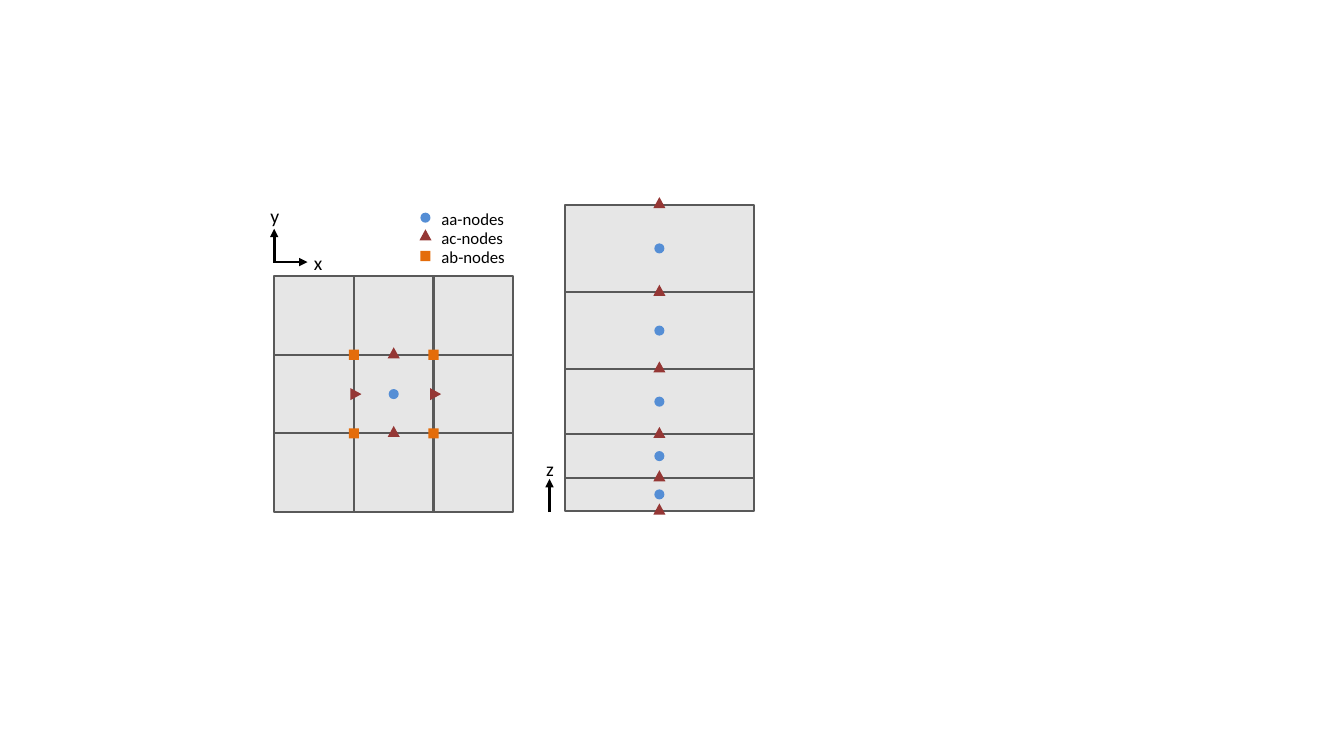
"""Build a slide showing node positions on a horizontal grid and a vertical column."""
import itertools

import pptx
import pptx.dml.color
import pptx.enum.shapes
import pptx.enum.text
import pptx.oxml
import pptx.oxml.ns
import pptx.util
from lxml import etree

SHAPE = pptx.enum.shapes.MSO_SHAPE
ALIGN = pptx.enum.text.PP_ALIGN
CELL_FILL = pptx.dml.color.RGBColor(0xE6, 0xE6, 0xE6)
CELL_LINE = pptx.dml.color.RGBColor(0x59, 0x59, 0x59)
BLACK = pptx.dml.color.RGBColor(0, 0, 0)
BLUE = pptx.dml.color.RGBColor(0x55, 0x8E, 0xD5)
RED = pptx.dml.color.RGBColor(0x95, 0x37, 0x35)
ORANGE = pptx.dml.color.RGBColor(0xE4, 0x6C, 0x0A)

SLIDE_WIDTH, SLIDE_HEIGHT = 13.33, 7.5
GRID_LEFT, GRID_TOP = 2.72, 2.74
CELL_WIDTH, CELL_HEIGHT = 0.79, 0.78
COLUMN_LEFT, COLUMN_WIDTH = 5.6, 1.88
LAYER_EDGES = (2.03, 2.9, 3.66, 4.31, 4.74, 5.07)
LEGEND_LEFT, LEGEND_TOP, LEGEND_PITCH = 4.22, 2.16, 0.19
ARROW_LENGTH = 0.33
APEX_SHIFT = 0.02

NODES = {
    "aa": (SHAPE.OVAL, BLUE, 0.1, 0.1),
    "ac": (SHAPE.ISOSCELES_TRIANGLE, RED, 0.12, 0.11),
    "ab": (SHAPE.RECTANGLE, ORANGE, 0.1, 0.1),
}


def inches(*lengths):
    """Convert lengths in inches to slide units."""
    return [pptx.util.Inches(length) for length in lengths]


def add_cell(group, left, top, width, height):
    """Add one outlined grey cell."""
    cell = group.shapes.add_shape(SHAPE.RECTANGLE, *inches(left, top, width, height))
    cell.shadow.inherit = False
    cell.fill.solid()
    cell.fill.fore_color.rgb = CELL_FILL
    cell.line.color.rgb = CELL_LINE
    cell.line.width = pptx.util.Pt(1.5)


def add_node(group, kind, x, y, sideways=False):
    """Add a node marker at a point, with triangles moved towards their apex."""
    preset, colour, width, height = NODES[kind]
    if kind == "ac":
        x, y = (x + APEX_SHIFT, y) if sideways else (x, y - APEX_SHIFT)
    node = group.shapes.add_shape(
        preset, *inches(x - width / 2, y - height / 2, width, height))
    node.rotation = 90 if sideways else 0
    node.shadow.inherit = False
    node.fill.solid()
    node.fill.fore_color.rgb = colour
    node.line.fill.background()


def add_label(group, text, left, middle, width, height, size, align):
    """Add a one-line label centred on a height."""
    box = group.shapes.add_textbox(*inches(left, middle - height / 2, width, height))
    frame = box.text_frame
    frame.word_wrap = True
    frame.auto_size = pptx.enum.text.MSO_AUTO_SIZE.SHAPE_TO_FIT_TEXT
    para = frame.paragraphs[0]
    para.alignment = align
    span = para.add_run()
    span.text = text
    span.font.name = "Calibri"
    span.font.size = pptx.util.Pt(size)
    span.font.color.rgb = BLACK


def add_axis(group, name, start, end, label_centre):
    """Add an axis arrow and its centred name."""
    arrow = group.shapes.add_connector(
        pptx.enum.shapes.MSO_CONNECTOR.STRAIGHT, *inches(*start, *end))
    arrow.line.color.rgb = BLACK
    arrow.line.width = pptx.util.Pt(2)
    etree.SubElement(arrow.line._get_or_add_ln(),
                     pptx.oxml.ns.qn("a:tailEnd"), type="triangle")
    etree.SubElement(arrow._element.spPr, pptx.oxml.ns.qn("a:effectLst"))
    x, y = label_centre
    add_label(group, name, x - 0.25, y, 0.51, 0.34, 14, ALIGN.CENTER)


def add_plan(group):
    """Add the three by three grid with nodes around its middle cell."""
    for row, column in itertools.product(range(3), repeat=2):
        add_cell(group, GRID_LEFT + column * CELL_WIDTH,
                 GRID_TOP + row * CELL_HEIGHT, CELL_WIDTH, CELL_HEIGHT)
    places = [("aa", 1.5, 1.5, False)]
    for edge in (1, 2):
        places += [("ac", 1.5, edge, False), ("ac", edge, 1.5, True)]
        places += [("ab", edge, other, False) for other in (1, 2)]
    for kind, column, row, sideways in places:
        add_node(group, kind, GRID_LEFT + column * CELL_WIDTH,
                 GRID_TOP + row * CELL_HEIGHT, sideways)


def add_column(group):
    """Add the stacked layers with nodes at their middles and edges."""
    middle = COLUMN_LEFT + COLUMN_WIDTH / 2
    layers = list(zip(LAYER_EDGES, LAYER_EDGES[1:]))
    for top, bottom in layers:
        add_cell(group, COLUMN_LEFT, top, COLUMN_WIDTH, bottom - top)
    for edge in LAYER_EDGES:
        add_node(group, "ac", middle, edge)
    for top, bottom in layers:
        add_node(group, "aa", middle, (top + bottom) / 2)


def add_legend(group):
    """Add one marker and label for each kind of node."""
    for row, kind in enumerate(NODES):
        y = LEGEND_TOP + row * LEGEND_PITCH
        add_node(group, kind, LEGEND_LEFT, y)
        add_label(group, f"{kind}-nodes", LEGEND_LEFT + 0.06, y + 0.01,
                  0.86, 0.3, 12, ALIGN.LEFT)


def add_plan_axes(group):
    """Add the x and y axes above the grid."""
    x, y = GRID_LEFT, 2.6
    add_axis(group, "y", (x, y), (x, y - ARROW_LENGTH), (x, 2.14))
    add_axis(group, "x", (x - 0.01, y), (x + ARROW_LENGTH, y), (3.15, 2.61))


def add_height_axis(group):
    """Add the z axis beside the column."""
    x, y = 5.45, 5.08
    add_axis(group, "z", (x, y), (x, y - ARROW_LENGTH), (x, 4.65))


def main():
    """Build and save the slide."""
    deck = pptx.Presentation()
    deck.slide_width, deck.slide_height = inches(SLIDE_WIDTH, SLIDE_HEIGHT)
    page = deck.slides.add_slide(deck.slide_layouts.get_by_name("Blank"))
    for add_part in (add_plan, add_plan_axes, add_column, add_legend, add_height_axis):
        add_part(page.shapes.add_group_shape())
    deck.save("out.pptx")


main()
